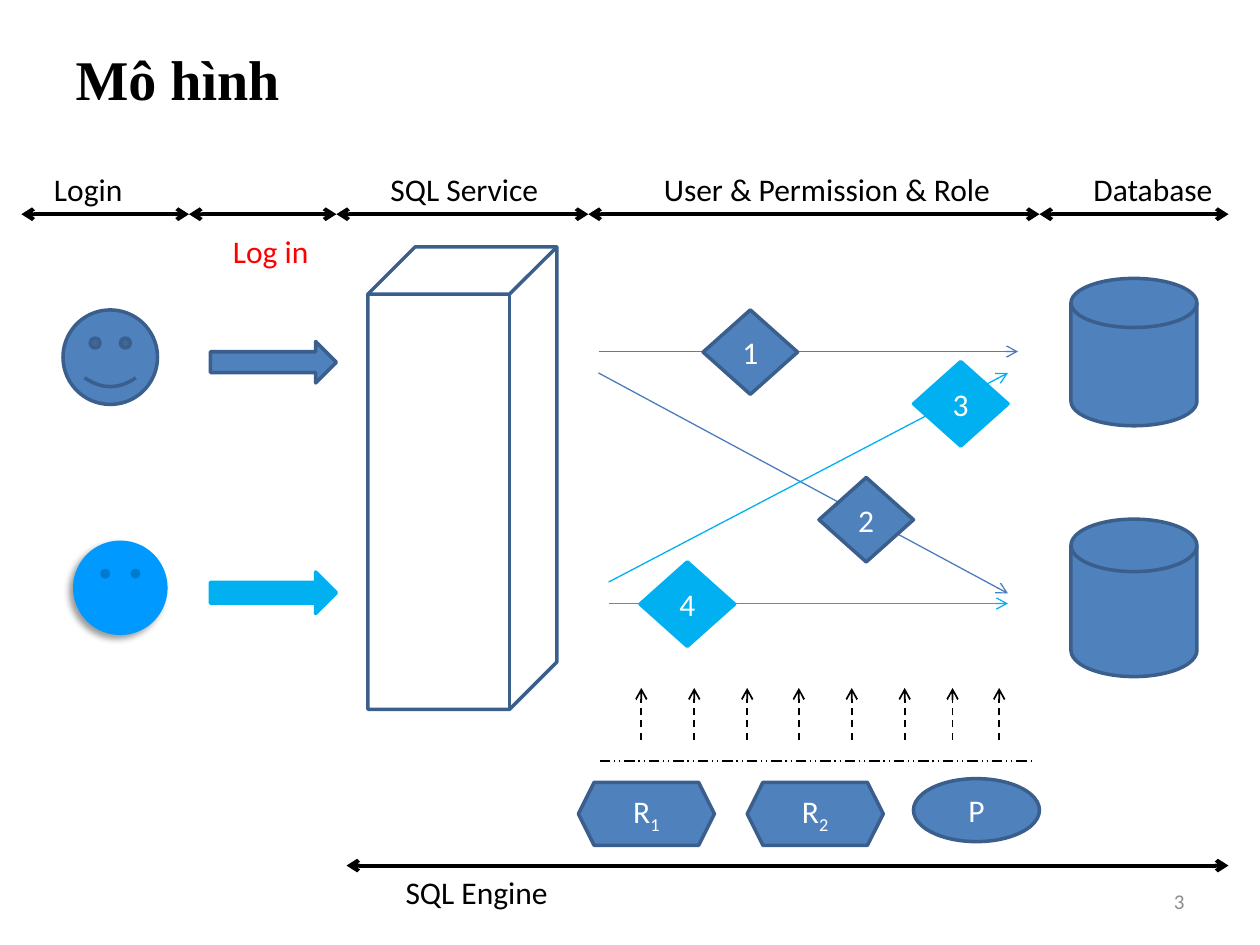
"""Build a slide that models logins, users, permissions and roles of a database engine."""
from dataclasses import dataclass
from itertools import pairwise
from typing import Optional

from lxml import etree
from pptx import Presentation
from pptx.dml.color import RGBColor
from pptx.enum.dml import MSO_LINE
from pptx.enum.shapes import MSO_CONNECTOR, MSO_SHAPE
from pptx.enum.text import MSO_ANCHOR, MSO_AUTO_SIZE, PP_ALIGN
from pptx.oxml.ns import qn
from pptx.util import Inches, Pt

BLACK = RGBColor(0x00, 0x00, 0x00)
WHITE = RGBColor(0xFF, 0xFF, 0xFF)
RED = RGBColor(0xFF, 0x00, 0x00)
GRAY = RGBColor(0x8C, 0x8C, 0x8C)
BLUE = RGBColor(0x4F, 0x81, 0xBD)
BLUE_EDGE = RGBColor(0x3A, 0x5F, 0x8C)
BLUE_LINE = RGBColor(0x4B, 0x7E, 0xBC)
CYAN = RGBColor(0x00, 0xB0, 0xF0)
FACE_BLUE = RGBColor(0x00, 0x99, 0xFF)

SMILEY = MSO_SHAPE.SMILEY_FACE
CUBE = MSO_SHAPE.CUBE
DISK = MSO_SHAPE.FLOWCHART_MAGNETIC_DISK
DIAMOND = MSO_SHAPE.DIAMOND
HEXAGON = MSO_SHAPE.HEXAGON
OVAL = MSO_SHAPE.OVAL
RIGHT_ARROW = MSO_SHAPE.RIGHT_ARROW
DASH = MSO_LINE.DASH
DASH_DOT_DOT = MSO_LINE.DASH_DOT_DOT
STRAIGHT = MSO_CONNECTOR.STRAIGHT
LEFT, CENTER, RIGHT = PP_ALIGN.LEFT, PP_ALIGN.CENTER, PP_ALIGN.RIGHT
TOP, MIDDLE = MSO_ANCHOR.TOP, MSO_ANCHOR.MIDDLE
FIT_SHAPE = MSO_AUTO_SIZE.SHAPE_TO_FIT_TEXT
TITLE_ONLY = 5
RULER_TOP = 1.7


@dataclass
class Node:
    kind: int
    left: float
    top: float
    width: float
    height: float
    fill: Optional[RGBColor] = BLUE
    edge: Optional[RGBColor] = BLUE_EDGE
    text: str = ""
    subscript: str = ""


@dataclass
class Line:
    start: tuple[float, float]
    end: tuple[float, float]
    color: RGBColor = BLACK
    width: float = 0.75
    dash: Optional[int] = None
    ends: tuple[str, ...] = ("tailEnd",)


@dataclass
class Label:
    text: str
    left: float
    top: float
    width: float
    color: RGBColor = BLACK


ACTORS = [
    Node(SMILEY, 0.5, 2.46, 0.75, 0.75),
    Node(CUBE, 2.92, 1.96, 1.5, 3.67, fill=None),
    Node(DISK, 8.5, 2.21, 1, 1.17),
    Node(DISK, 8.5, 4.12, 1, 1.25),
    Node(RIGHT_ARROW, 1.67, 2.71, 1, 0.33),
    Node(RIGHT_ARROW, 1.67, 4.54, 1, 0.33, CYAN, CYAN),
]
SHADED_FACE = Node(SMILEY, 0.58, 4.29, 0.75, 0.75, FACE_BLUE, None)
ACCESS_LINES = [
    Line((4.75, 2.79), (8.08, 2.79), BLUE_LINE),
    Line((4.75, 2.96), (8, 4.71), BLUE_LINE),
    Line((4.83, 4.62), (8, 2.96), CYAN),
    Line((4.83, 4.79), (8, 4.79), CYAN),
]
USERS = [
    Node(DIAMOND, left, top, 0.75, 0.67, fill, edge, text)
    for text, left, top, fill, edge in [
        ("1", 5.58, 2.46, BLUE, BLUE_EDGE),
        ("2", 6.5, 3.79, BLUE, BLUE_EDGE),
        ("3", 7.25, 2.87, CYAN, CYAN),
        ("4", 5.08, 4.46, CYAN, CYAN),
    ]
]
ROLES = [
    Node(HEXAGON, 4.59, 6.21, 1.08, 0.5, text="R", subscript="1"),
    Node(HEXAGON, 5.93, 6.21, 1.08, 0.5, text="R", subscript="2"),
    Node(OVAL, 7.25, 6.18, 1, 0.5, text="P"),
]
GRANT_POSITIONS = [5.09, 5.51, 5.93, 6.34, 6.76, 7.18, 7.56, 7.93]
GRANTS = [Line((x, 5.87), (x, 5.46), width=1, dash=DASH) for x in GRANT_POSITIONS]
ROLE_BORDER = Line((4.76, 6.04), (8.18, 6.04), dash=DASH_DOT_DOT, ends=())
ZONE_EDGES = [0.17, 1.5, 2.67, 4.67, 8.25, 9.75]
SPANS = [(a, b, RULER_TOP) for a, b in pairwise(ZONE_EDGES)] + [(2.75, 9.75, 6.87)]
RULERS = [
    Line((a, y), (b, y), width=2.25, ends=("headEnd", "tailEnd")) for a, b, y in SPANS
]
LABELS = [
    Label("Login", 0.33, 1.3, 0.78),
    Label("SQL Service", 3, 1.3, 1.48),
    Label("User & Permission & Role", 5.17, 1.3, 2.92),
    Label("Database", 8.58, 1.3, 1.23),
    Label("Log in", 1.75, 1.79, 0.84, RED),
    Label("SQL Engine", 3.12, 6.88, 1.38),
]


def style(paragraph, color: RGBColor, size: float = 18, align: int = LEFT,
          name: str = "Calibri") -> None:
    paragraph.alignment = align
    paragraph.font.name = name
    paragraph.font.size = Pt(size)
    paragraph.font.color.rgb = color


def draw_node(page, node: Node):
    shape = page.shapes.add_shape(node.kind, Inches(node.left), Inches(node.top),
                                  Inches(node.width), Inches(node.height))
    shape.shadow.inherit = False
    if node.fill is None:
        shape.fill.background()
    else:
        shape.fill.solid()
        shape.fill.fore_color.rgb = node.fill
    if node.edge is None:
        shape.line.fill.background()
    else:
        shape.line.color.rgb = node.edge
        shape.line.width = Pt(2)
    if node.text:
        shape.text_frame.vertical_anchor = MIDDLE
        paragraph = shape.text_frame.paragraphs[0]
        paragraph.add_run().text = node.text
        if node.subscript:
            span = paragraph.add_run()
            span.text = node.subscript
            span._r.get_or_add_rPr().set("baseline", "-25000")
        style(paragraph, WHITE, align=CENTER)
    return shape


def add_soft_shadow(shape) -> None:
    effects = shape._element.spPr.find(qn("a:effectLst"))
    shadow = etree.SubElement(effects, qn("a:outerShdw"), blurRad=str(Pt(4)),
                              dist=str(Pt(3)), dir="8100000", rotWithShape="0")
    color = etree.SubElement(shadow, qn("a:srgbClr"), val=str(BLACK))
    etree.SubElement(color, qn("a:alpha"), val="40000")


def draw_line(page, line: Line) -> None:
    connector = page.shapes.add_connector(
        STRAIGHT, *(Inches(value) for value in line.start + line.end))
    connector.line.color.rgb = line.color
    connector.line.width = Pt(line.width)
    if line.dash is not None:
        connector.line.dash_style = line.dash
    properties = connector._element.spPr
    for end in line.ends:
        etree.SubElement(properties.find(qn("a:ln")), qn(f"a:{end}"), type="arrow")
    etree.SubElement(properties, qn("a:effectLst"))


def draw_label(page, label: Label) -> None:
    box = page.shapes.add_textbox(Inches(label.left), Inches(label.top),
                                  Inches(label.width), Inches(0.4))
    box.text_frame.text = label.text
    box.text_frame.word_wrap = False
    box.text_frame.auto_size = FIT_SHAPE
    style(box.text_frame.paragraphs[0], label.color)


def main() -> None:
    deck = Presentation()
    deck.slide_width, deck.slide_height = Inches(10), Inches(7.5)
    page = deck.slides.add_slide(deck.slide_layouts[TITLE_ONLY])

    title = page.shapes.title
    title.left, title.top = Inches(0.5), Inches(0.3)
    title.width, title.height = Inches(9), Inches(1.25)
    title.text_frame.text = "Mô hình"
    title.text_frame.vertical_anchor = TOP
    heading = title.text_frame.paragraphs[0]
    style(heading, BLACK, 32, name="Times New Roman")
    heading.font.bold = True

    add_soft_shadow(draw_node(page, SHADED_FACE))
    for line in ACCESS_LINES + [ROLE_BORDER] + GRANTS + RULERS:
        draw_line(page, line)
    for node in ACTORS + USERS + ROLES:
        draw_node(page, node)
    for label in LABELS:
        draw_label(page, label)

    number = page.shapes.add_textbox(Inches(7.17), Inches(6.95), Inches(2.33), Inches(0.4))
    number.text_frame.text = "3"
    number.text_frame.word_wrap = True
    number.text_frame.vertical_anchor = MIDDLE
    style(number.text_frame.paragraphs[0], GRAY, 12, RIGHT)
    deck.save("out.pptx")


if __name__ == "__main__":
    main()
